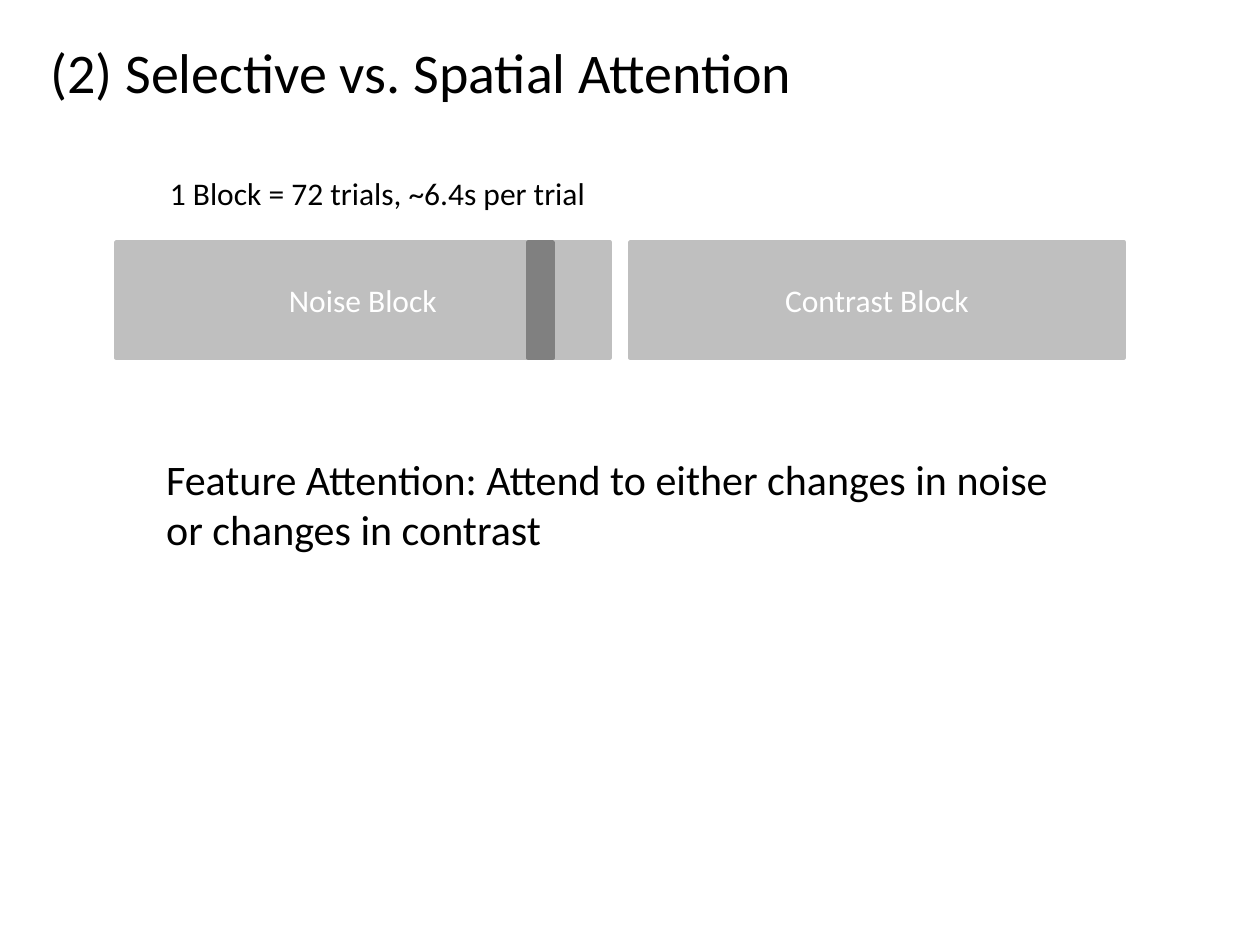
import pptx
import pptx.dml.color
import pptx.enum.shapes
import pptx.enum.text
import pptx.util

Inches = pptx.util.Inches
Pt = pptx.util.Pt
ALIGN = pptx.enum.text.PP_ALIGN
ANCHOR = pptx.enum.text.MSO_ANCHOR

TITLE = "(2) Selective vs. Spatial Attention"
CAPTION = "1 Block = 72 trials, ~6.4s per trial"
SUMMARY = "Feature Attention: Attend to either changes in noise or changes in contrast"
BLOCKS = ["Noise Block", "Contrast Block"]

THEME = {
    "font": "Calibri",
    "text": "000000", "on_block": "FFFFFF",
    "block": "BFBFBF", "trial": "808080",
    "title_size": 32, "summary_size": 24, "label_size": 18,
    "line": 2,
}
BLOCK_LEFT, BLOCK_TOP, BLOCK_W, BLOCK_H, BLOCK_GAP = 0.92, 1.92, 3.92, 0.92, 0.16
TRIAL_LEFT, TRIAL_W = 4.19, 0.2


def rgb(name):
    return pptx.dml.color.RGBColor.from_string(THEME[name])


def write(sp, text, size="label_size", color="text", align=ALIGN.LEFT,
          anchor=ANCHOR.TOP, wrap=True):
    tf = sp.text_frame
    tf.word_wrap = wrap
    tf.auto_size = pptx.enum.text.MSO_AUTO_SIZE.NONE
    tf.vertical_anchor = anchor
    tf.margin_left = tf.margin_right = Inches(0.1)
    tf.margin_top = tf.margin_bottom = Inches(0.05)
    p = tf.paragraphs[0]
    p.alignment = align
    r = p.add_run()
    r.text = text
    r.font.name = THEME["font"]
    r.font.size = Pt(THEME[size])
    r.font.color.rgb = rgb(color)


def add_text(s, box, text, **fmt):
    write(s.shapes.add_textbox(*map(Inches, box)), text, **fmt)


def add_bar(s, left, width, color):
    sp = s.shapes.add_shape(pptx.enum.shapes.MSO_SHAPE.RECTANGLE,
                            *map(Inches, (left, BLOCK_TOP, width, BLOCK_H)))
    sp.shadow.inherit = False
    sp.fill.solid()
    sp.fill.fore_color.rgb = rgb(color)
    sp.line.color.rgb = rgb(color)
    sp.line.width = Pt(THEME["line"])
    return sp


def main():
    prs = pptx.Presentation()
    prs.slide_width, prs.slide_height = Inches(10), Inches(7.5)
    s = prs.slides.add_slide(prs.slide_layouts.get_by_name("Title Only"))

    title = s.shapes.title
    title.left, title.top, title.width, title.height = map(
        Inches, (0.3, 0.25, 6.17, 0.64))
    write(title, TITLE, size="title_size", wrap=False)

    for i, name in enumerate(BLOCKS):
        bar = add_bar(s, BLOCK_LEFT + i * (BLOCK_W + BLOCK_GAP), BLOCK_W, "block")
        write(bar, name, color="on_block", align=ALIGN.CENTER, anchor=ANCHOR.MIDDLE)
    add_bar(s, TRIAL_LEFT, TRIAL_W, "trial")

    add_text(s, (1.25, 1.33, 3.53, 0.4), CAPTION, wrap=False)
    add_text(s, (1.22, 3.55, 7.45, 0.91), SUMMARY, size="summary_size")
    prs.save("out.pptx")


if __name__ == "__main__":
    main()
